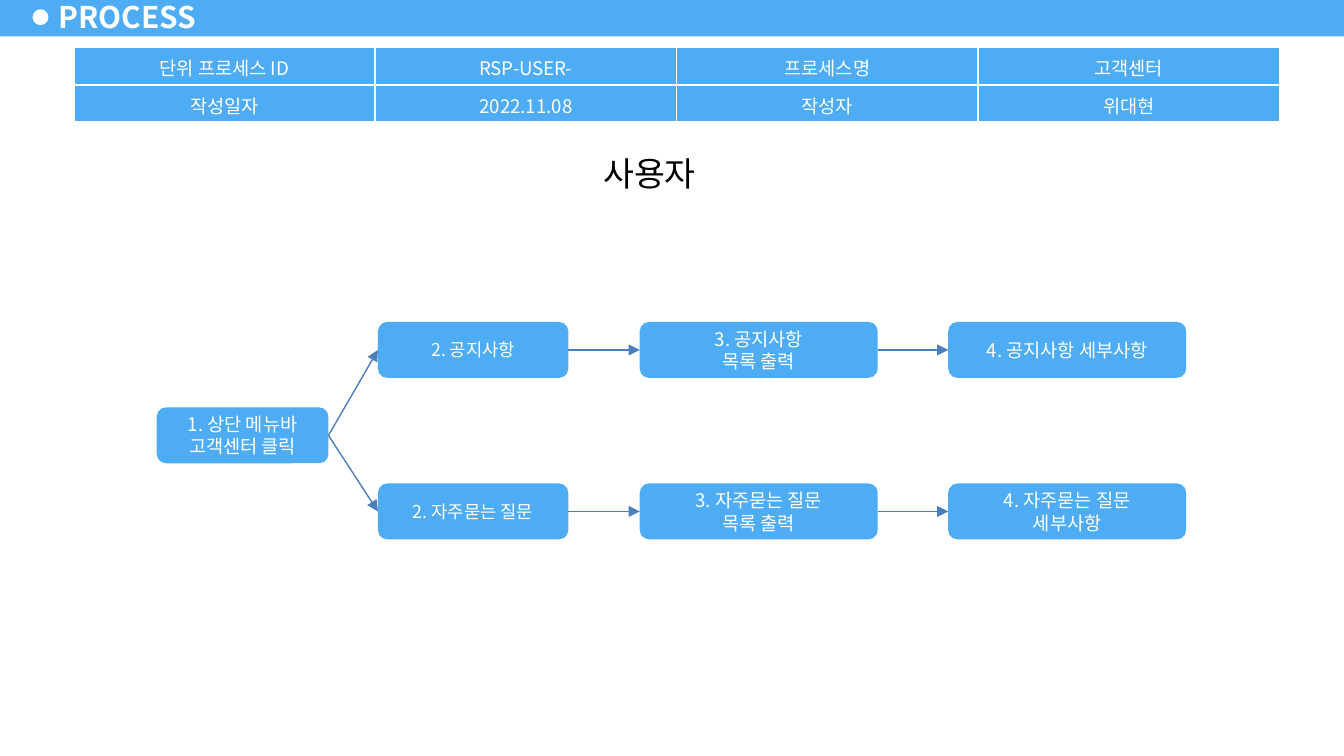
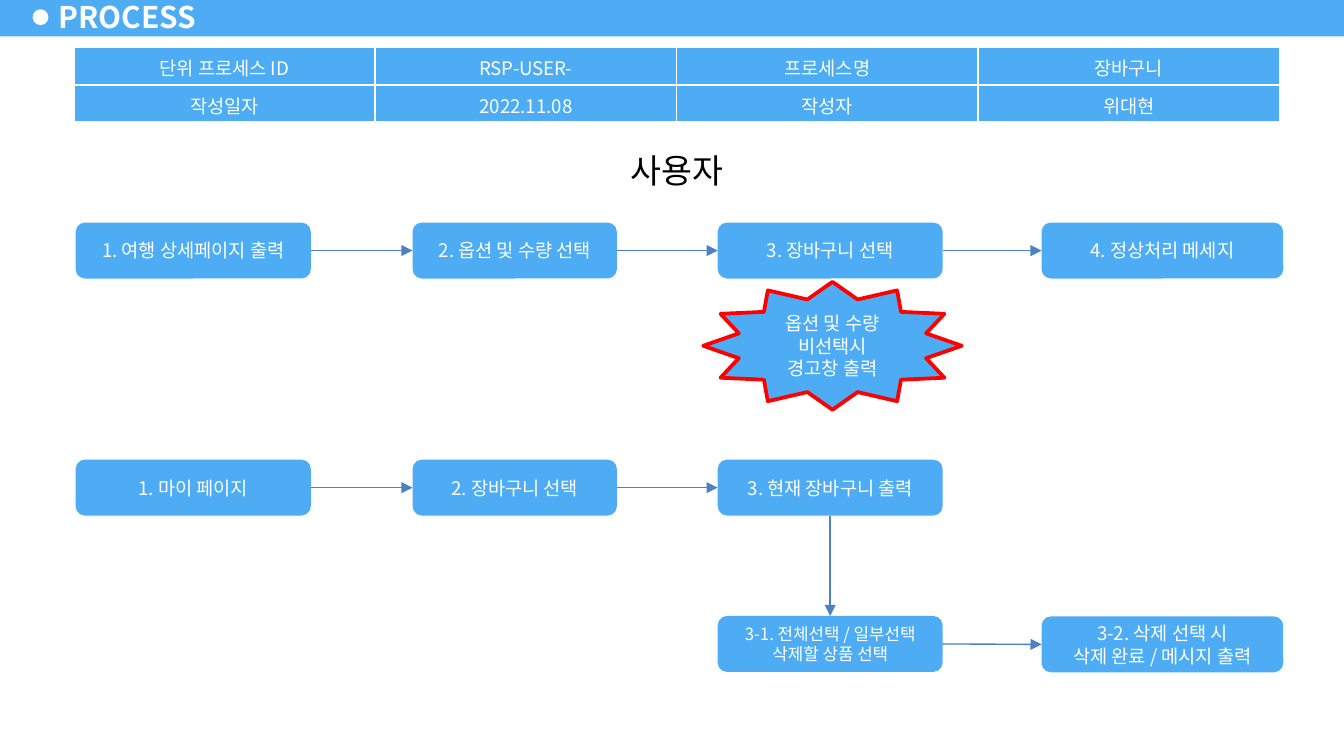
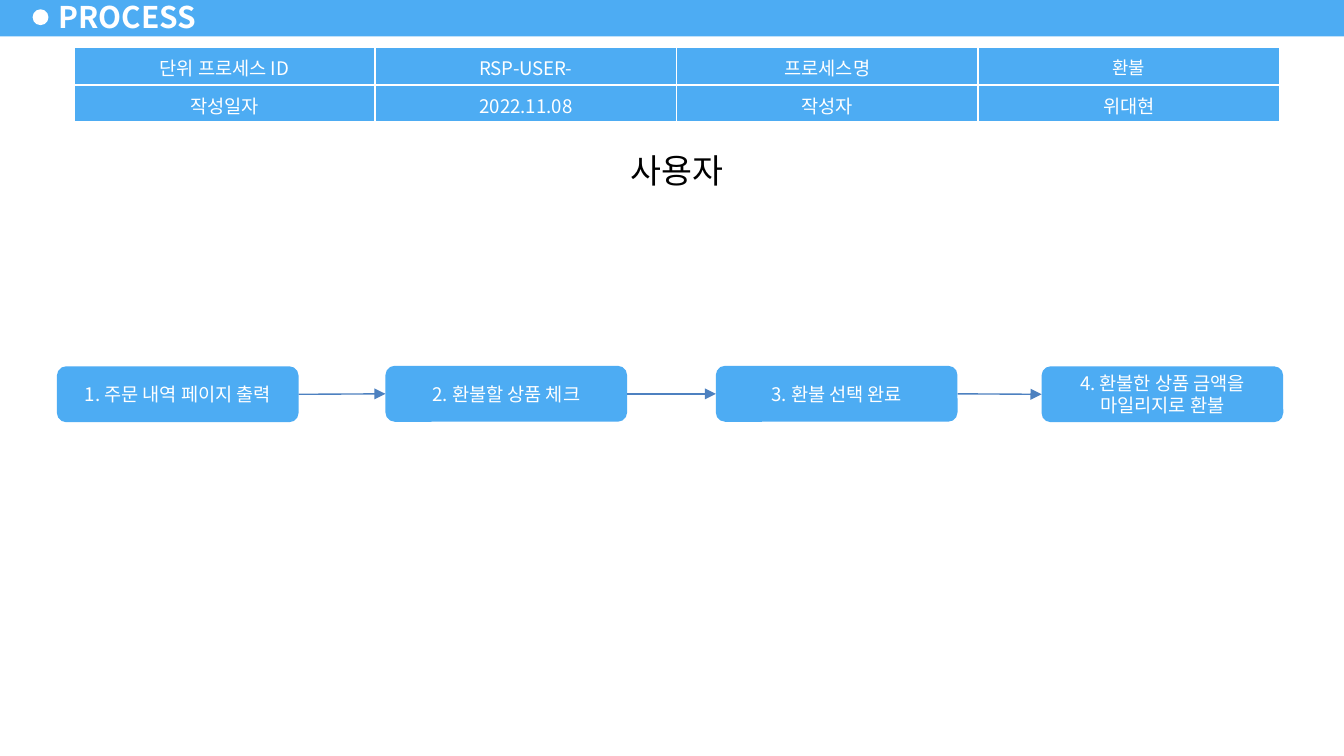
import pptx
import pptx.util
import pptx.dml.color
import pptx.enum.shapes
import pptx.enum.text
import pptx.oxml
import pptx.oxml.ns

Pt = pptx.util.Pt
RGBColor = pptx.dml.color.RGBColor
SHAPE = pptx.enum.shapes.MSO_SHAPE
ALIGN = pptx.enum.text.PP_ALIGN
ANCHOR = pptx.enum.text.MSO_ANCHOR

FONT = "Noto Sans CJK KR"
BLUE = RGBColor(0x4D, 0xAC, 0xF3)
WHITE = RGBColor(0xFF, 0xFF, 0xFF)
BLACK = RGBColor(0, 0, 0)
RED = RGBColor(0xFF, 0, 0)
ARROW_DARK = RGBColor(0x4B, 0x7E, 0xBC)
ARROW = RGBColor(0x4D, 0x81, 0xC0)

BOX_HEIGHT = 30
SIDES = {"top": 0, "left": 1, "bottom": 2, "right": 3}

# steps: key -> (column, top, text[, font size]); "\n" is a paragraph, "\v" a line break
# columns: (left, width); links: (from, to[, leaving side, entering side])
PROCESSES = [
    {
        "name": "고객센터",
        "heading": (219.5, 78.5),
        "arrow": ARROW_DARK,
        "columns": [(84, 92), (202.5, 102), (342.75, 127.5), (508, 127.5)],
        "steps": {
            "menu": (0, 218.25, "1. 상단 메뉴바 고객센터 클릭"),
            "notice": (1, 172.5, "2. 공지사항", 9.5),
            "notice list": (2, 172.5, "3. 공지사항\n목록 출력"),
            "notice detail": (3, 172.5, "4. 공지사항 세부사항"),
            "faq": (1, 259, "2. 자주묻는 질문", 9.5),
            "faq list": (2, 259, "3. 자주묻는 질문\n목록 출력"),
            "faq detail": (3, 259, "4. 자주묻는 질문\n세부사항"),
        },
        "links": [
            ("menu", "notice"), ("notice", "notice list"), ("notice list", "notice detail"),
            ("menu", "faq"), ("faq", "faq list"), ("faq list", "faq detail"),
        ],
    },
    {
        "name": "장바구니",
        "heading": (234, 77),
        "arrow": ARROW,
        "columns": [(40.5, 126), (221, 109.5), (384.5, 120.5), (558, 129.5)],
        "steps": {
            "trip page": (0, 119.25, "1. 여행 상세페이지 출력"),
            "options": (1, 119.25, "2. 옵션 및 수량 선택"),
            "add to cart": (2, 119.25, "3. 장바구니 선택"),
            "message": (3, 119.25, "4. 정상처리 메세지"),
            "my page": (0, 246.25, "1. 마이 페이지"),
            "open cart": (1, 246.25, "2. 장바구니 선택"),
            "show cart": (2, 246.25, "3. 현재 장바구니 출력"),
            "pick items": (2, 330, "3-1. 전체선택 / 일부선택\v삭제할 상품 선택", 9),
            "delete": (3, 330.25, "3-2. 삭제 선택 시\v삭제 완료 / 메시지 출력"),
        },
        "links": [
            ("trip page", "options"), ("options", "add to cart"), ("add to cart", "message"),
            ("my page", "open cart"), ("open cart", "show cart"),
            ("show cart", "pick items", "bottom", "top"), ("pick items", "delete"),
        ],
        "warning": ((376.75, 151, 138.5, 68.5), "옵션 및 수량\n비선택시\n경고창 출력"),
    },
    {
        "name": "환불",
        "name_size": 9.5,
        "heading": (234, 77),
        "arrow": ARROW,
        "columns": [(30.5, 129.5), (206.5, 129.5), (383.5, 129.5), (558, 129.5)],
        "steps": {
            "orders": (0, 196.25, "1. 주문 내역 페이지 출력"),
            "check": (1, 196, "2. 환불할 상품 체크"),
            "confirm": (2, 196, "3. 환불 선택 완료"),
            "refund": (3, 196.25, "4. 환불한 상품 금액을\n마일리지로 환불"),
        },
        "links": [("orders", "check"), ("check", "confirm"), ("confirm", "refund")],
    },
]


def add_xml(parent, xml):
    ns = pptx.oxml.ns.nsdecls("a")
    parent.append(pptx.oxml.parse_xml(xml.replace("/>", f" {ns}/>", 1) if xml.endswith("/>")
                                      else xml.replace(">", f" {ns}>", 1)))


def write(tf, text, size=10, color=WHITE, align=ALIGN.CENTER, bold=False):
    tf.text = text
    for p in tf.paragraphs:
        p.alignment = align
        for r in p.runs:
            for name, value in {"name": FONT, "size": Pt(size), "bold": bold}.items():
                setattr(r.font, name, value)
            r.font.color.rgb = color
            add_xml(r.font._element, f'<a:ea typeface="{FONT}"/>')


def add_block(s, kind, box, fill, line=None):
    sp = s.shapes.add_shape(kind, *map(Pt, box))
    sp.shadow.inherit = False
    sp.fill.solid()
    sp.fill.fore_color.rgb = fill
    if line:
        sp.line.color.rgb = line
        sp.line.width = Pt(2)
    else:
        sp.line.fill.background()
    sp.text_frame.word_wrap = True
    sp.text_frame.vertical_anchor = ANCHOR.MIDDLE
    return sp


def add_header(s):
    add_block(s, SHAPE.RECTANGLE, (0, -1.5, 720, 21), BLUE)
    add_block(s, SHAPE.OVAL, (17.5, 5, 8.5, 8.5), WHITE)
    tf = s.shapes.add_textbox(Pt(25), Pt(-2.75), Pt(88), Pt(23)).text_frame
    frame = {"word_wrap": True, "vertical_anchor": ANCHOR.MIDDLE,
             "margin_left": Pt(6.5), "margin_right": Pt(6.5),
             "margin_top": Pt(3), "margin_bottom": Pt(3)}
    for name, value in frame.items():
        setattr(tf, name, value)
    write(tf, "PROCESS", 16, align=ALIGN.LEFT, bold=True)


def add_heading(s, left, top):
    tf = add_block(s, SHAPE.RECTANGLE, (left, top, 257, 29), WHITE).text_frame
    tf.vertical_anchor = ANCHOR.TOP
    tf.auto_size = pptx.enum.text.MSO_AUTO_SIZE.SHAPE_TO_FIT_TEXT
    write(tf, "사용자", 18, BLACK)


def add_info_table(s, name, name_size):
    rows = [
        [("단위 프로세스 ID", 10), ("RSP-USER-", 10), ("프로세스명", 10), (name, name_size)],
        [("작성일자", 10), ("2022.11.08", 10), ("작성자", 10), ("위대현", 10)],
    ]
    table = s.shapes.add_table(2, 4, Pt(39.5), Pt(25.5), Pt(646), Pt(40)).table
    table.first_row = table.horz_banding = False
    for i, row in enumerate(rows):
        for j, (text, size) in enumerate(row):
            cell = table.cell(i, j)
            tc_pr = cell._tc.get_or_add_tcPr()
            for edge in "LRTB":
                add_xml(tc_pr, f'<a:ln{edge} w="{Pt(1)}"><a:solidFill>'
                               f'<a:srgbClr val="{WHITE}"/></a:solidFill></a:ln{edge}>')
            cell.fill.solid()
            cell.fill.fore_color.rgb = BLUE
            cell.vertical_anchor = ANCHOR.MIDDLE
            write(cell.text_frame, text, size)


def add_arrow(s, color, start, end, leave="right", enter="left"):
    c = s.shapes.add_connector(pptx.enum.shapes.MSO_CONNECTOR.STRAIGHT, 0, 0, 0, 0)
    c.begin_connect(start, SIDES[leave])
    c.end_connect(end, SIDES[enter])
    c.line.color.rgb = color
    c.line.width = Pt(0.75)
    add_xml(c.line._get_or_add_ln(), '<a:tailEnd type="triangle"/>')
    add_xml(c._element.spPr, "<a:effectLst/>")


def add_flow(s, process):
    boxes = {}
    for key, (column, top, *content) in process["steps"].items():
        left, width = process["columns"][column]
        sp = add_block(s, SHAPE.ROUNDED_RECTANGLE, (left, top, width, BOX_HEIGHT), BLUE)
        write(sp.text_frame, *content)
        boxes[key] = sp
    for start, end, *sides in process["links"]:
        add_arrow(s, process["arrow"], boxes[start], boxes[end], *sides)
    if "warning" in process:
        box, text = process["warning"]
        write(add_block(s, SHAPE.STAR_12_POINT, box, BLUE, RED).text_frame, text)


def main():
    prs = pptx.Presentation()
    prs.slide_width, prs.slide_height = Pt(720), Pt(405)
    for process in PROCESSES:
        s = prs.slides.add_slide(prs.slide_layouts[6])
        add_header(s)
        add_heading(s, *process["heading"])
        add_info_table(s, process["name"], process.get("name_size", 10))
        add_flow(s, process)
    prs.save("out.pptx")


if __name__ == "__main__":
    main()
